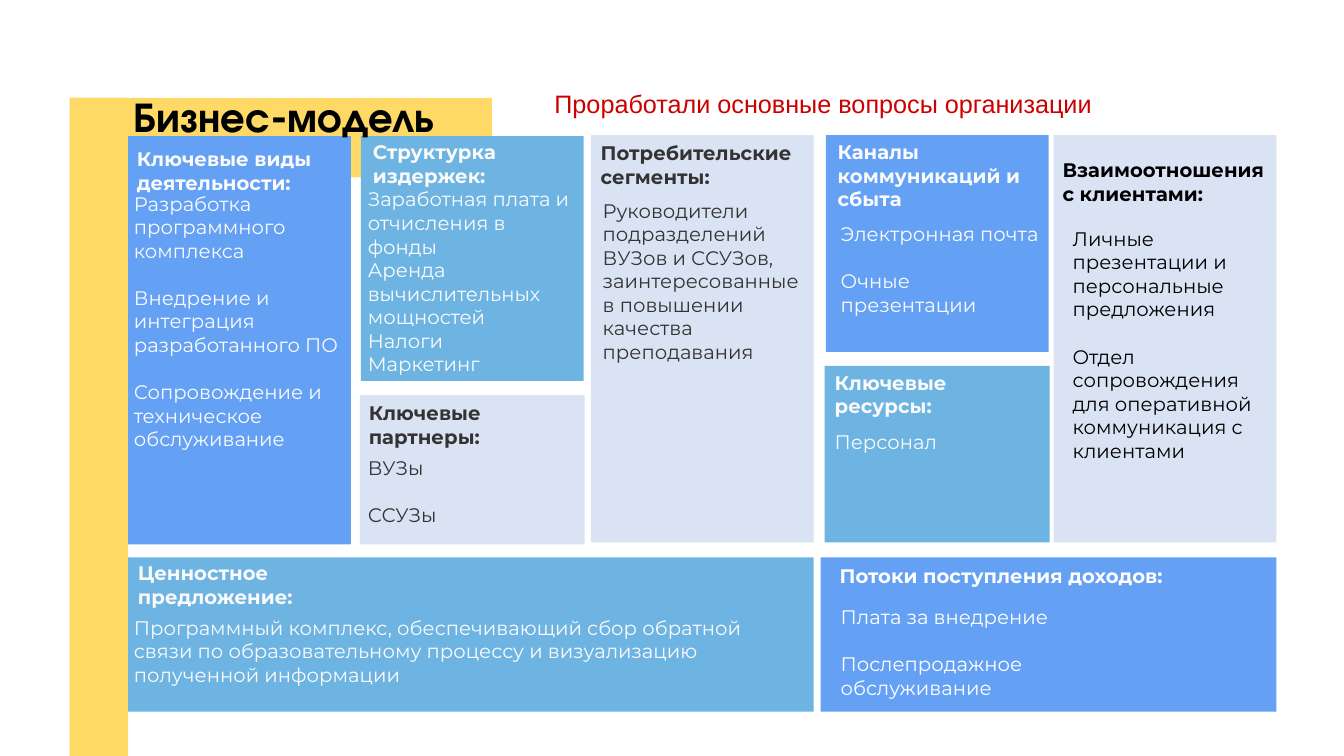
import pptx
import pptx.dml.color
import pptx.enum.shapes
import pptx.enum.text
import pptx.util
from pptx.util import Inches

YELLOW, BLUE, SKY, PALE = "FFD966", "64A1F5", "6DB4E3", "DAE3F3"
WHITE, OFF_WHITE, GRAY, BLACK, RED = "FFFFFF", "FBFBFB", "333333", "000000", "CC0000"
CARD_W = 2.21
COL_1, COL_2, COL_3, COL_4, COL_5 = 1.27, 3.58, 5.86, 8.19, 10.45
TOP, BOTTOM_TOP, BOTTOM_H = 1.34, 5.53, 1.53

# Card box, fill, text colour, heading, heading box, body box, gap in points, body paragraphs
CARDS = [
    ((COL_1, 1.35, CARD_W, 4.05), BLUE, OFF_WHITE,
     "Ключевые виды деятельности:", (1.26, 1.41, 2.23, 0.57),
     (1.23, 1.85, 2.31, 2.69), 17,
     ["Разработка программного комплекса",
      "Внедрение и интеграция разработанного ПО",
      "Сопровождение и техническое обслуживание"]),
    ((COL_2, 1.35, CARD_W, 2.43), SKY, OFF_WHITE,
     "Структурка издержек:", (3.6, TOP, 2.21, 0.57),
     (3.55, 1.81, 2.23, 1.99), 0,
     ["Заработная плата и отчисления в фонды",
      "Аренда вычислительных мощностей", "Налоги", "Маркетинг"]),
    ((3.57, 3.92, 2.23, 1.48), PALE, GRAY,
     "Ключевые партнеры:", (3.56, 3.93, 2.3, 0.57),
     (3.55, 4.47, 2.23, 0.81), 17,
     ["ВУЗы", "ССУЗы"]),
    ((COL_3, TOP, CARD_W, 4.04), PALE, GRAY,
     "Потребительские сегменты:", (5.86, 1.35, 2.21, 0.57),
     (5.88, 1.92, 2.23, 1.75), 0,
     ["Руководители подразделений ВУЗов и ССУЗов, заинтересованные "
      "в повышении качества преподавания"]),
    ((COL_4, TOP, CARD_W, 2.15), BLUE, OFF_WHITE,
     "Каналы коммуникаций и сбыта", (8.21, TOP, 2.21, 0.81),
     (8.24, 2.15, 2.18, 1.04), 17,
     ["Электронная почта", "Очные презентации"]),
    ((8.18, 3.63, 2.23, 1.75), SKY, OFF_WHITE,
     "Ключевые ресурсы:", (8.18, 3.63, 2.21, 0.57),
     (8.18, 4.22, 2.23, 0.34), 0,
     ["Персонал"]),
    ((COL_5, TOP, CARD_W, 4.04), PALE, BLACK,
     "Взаимоотношения с клиентами:", (10.44, 1.52, 2.22, 0.57),
     (10.54, 2.2, 2.18, 2.46), 17,
     ["Личные презентации и персональные предложения",
      "Отдел сопровождения для оперативной коммуникация с клиентами"]),
    ((COL_1, BOTTOM_TOP, 6.8, BOTTOM_H), SKY, OFF_WHITE,
     "Ценностное предложение:", (1.27, 5.52, 2.93, 0.57),
     (1.23, 6.06, 6.7, 0.81), 0,
     ["Программный комплекс, обеспечивающий сбор обратной связи по "
      "образовательному процессу и визуализацию полученной информации"]),
    ((8.14, BOTTOM_TOP, 4.52, BOTTOM_H), BLUE, WHITE,
     "Потоки поступления доходов:", (8.23, 5.55, 3.61, 0.34),
     (8.24, 5.95, 2.61, 1.04), 17,
     ["Плата за внедрение", "Послепродажное обслуживание"]),
]


def rgb(color):
    return pptx.dml.color.RGBColor.from_string(color)


class Canvas:
    """The current slide and its text style."""
    font, size = "Montserrat", 14

    def __init__(self, slide):
        self.s = slide

    def rect(self, box, fill):
        sp = self.s.shapes.add_shape(
            pptx.enum.shapes.MSO_SHAPE.RECTANGLE, *map(Inches, box))
        sp.shadow.inherit = False
        sp.fill.solid()
        sp.fill.fore_color.rgb = rgb(fill)
        sp.line.fill.background()

    def text(self, box, paragraphs, *, color, font=None, size=None, bold=False, gap=0):
        """Write paragraphs with a gap in points before each one but the first."""
        tf = self.s.shapes.add_textbox(*map(Inches, box)).text_frame
        tf.word_wrap = True
        tf.auto_size = pptx.enum.text.MSO_AUTO_SIZE.SHAPE_TO_FIT_TEXT
        for i, line in enumerate(paragraphs):
            p = tf.add_paragraph() if i else tf.paragraphs[0]
            p.space_before = pptx.util.Pt(gap if i else 0)
            r = p.add_run()
            r.text = line
            r.font.name = font or self.font
            r.font.size = pptx.util.Pt(size or self.size)
            r.font.bold = bold
            r.font.color.rgb = rgb(color)

    def card(self, box, fill, color, heading, heading_box, body_box, gap, body):
        self.rect(box, fill)
        self.text(heading_box, [heading], color=color, bold=True)
        self.text(body_box, body, color=color, gap=gap)


def main():
    prs = pptx.Presentation()
    prs.slide_width, prs.slide_height = Inches(13.33), Inches(7.5)
    canvas = Canvas(prs.slides.add_slide(prs.slide_layouts[6]))
    canvas.rect((0.69, 0.97, 0.58, 6.53), YELLOW)
    canvas.rect((1.27, 0.97, 3.61, 0.79), YELLOW)
    for card in CARDS:
        canvas.card(*card)
    canvas.text((1.23, 0.85, 3.46, 0.6), ["Бизнес-модель"],
                color=BLACK, font="TeX Gyre Adventor", size=30, bold=True)
    canvas.text((5.4, 0.83, 5.55, 0.4), ["Проработали основные вопросы организации"],
                color=RED, font="Arial", size=18)
    prs.save("out.pptx")


if __name__ == "__main__":
    main()
